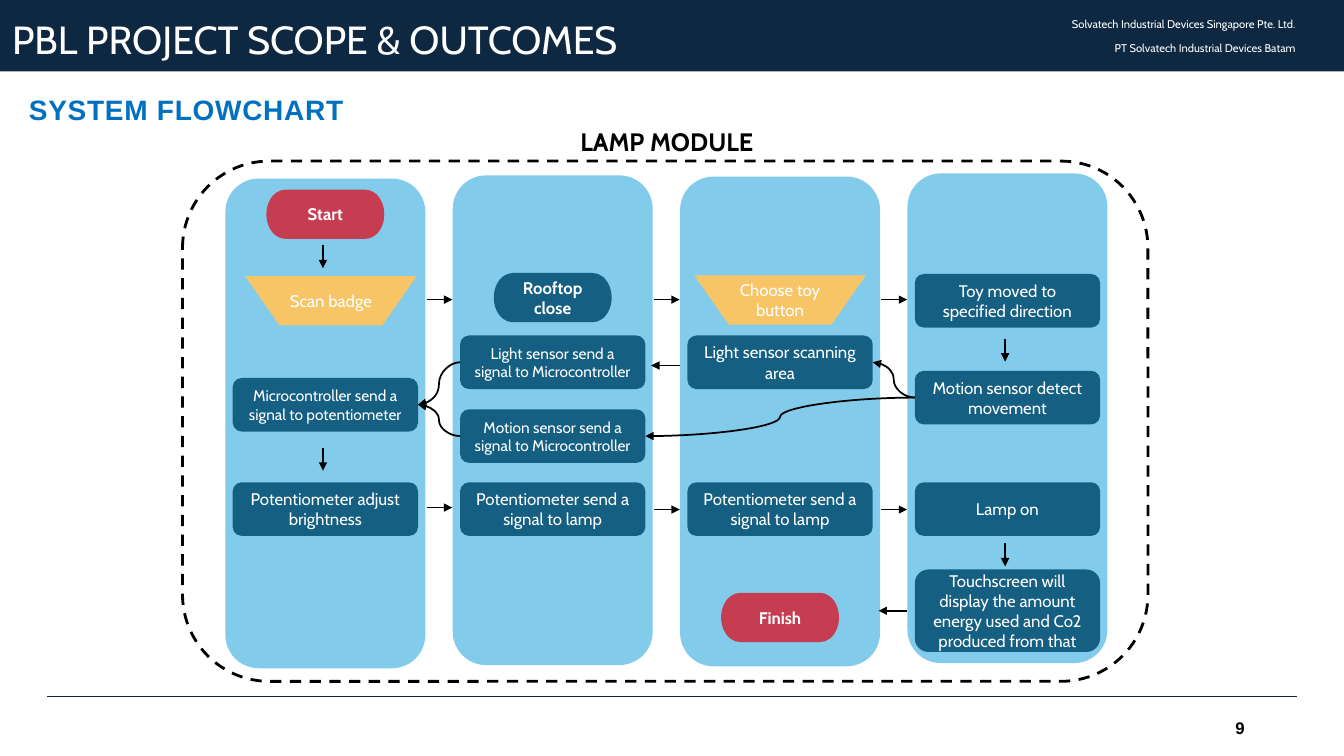
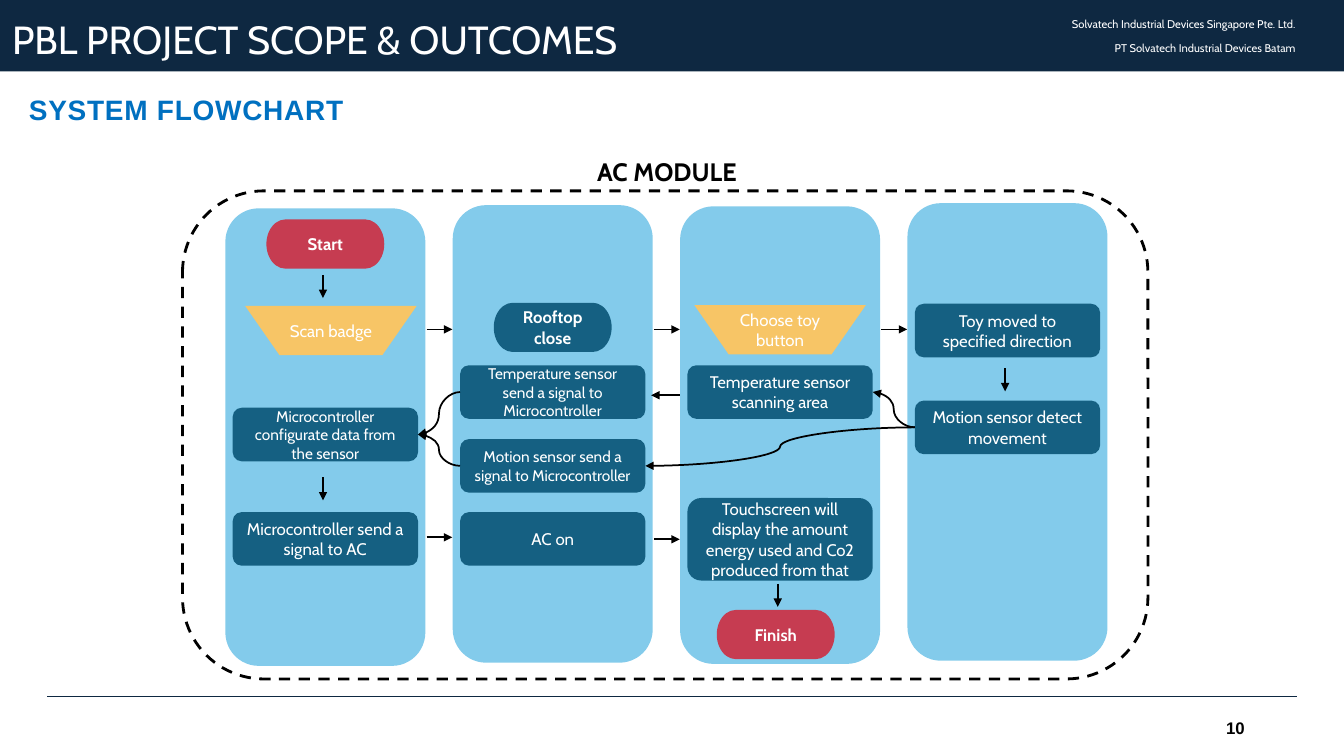
from dataclasses import dataclass

from lxml import etree
from pptx import Presentation
from pptx.dml.color import RGBColor
from pptx.enum.dml import MSO_LINE
from pptx.enum.shapes import MSO_CONNECTOR, MSO_SHAPE
from pptx.enum.text import MSO_ANCHOR, PP_ALIGN
from pptx.oxml.ns import qn
from pptx.util import Cm, Pt

RECT = MSO_SHAPE.RECTANGLE
ROUNDED = MSO_SHAPE.ROUNDED_RECTANGLE
PROCESS = MSO_SHAPE.FLOWCHART_ALTERNATE_PROCESS
TERMINATOR = MSO_SHAPE.FLOWCHART_TERMINATOR
MANUAL = MSO_SHAPE.FLOWCHART_MANUAL_OPERATION
STRAIGHT, CURVE = MSO_CONNECTOR.STRAIGHT, MSO_CONNECTOR.CURVE
LEFT, CENTER, RIGHT = PP_ALIGN.LEFT, PP_ALIGN.CENTER, PP_ALIGN.RIGHT
TOP, MIDDLE = MSO_ANCHOR.TOP, MSO_ANCHOR.MIDDLE
DASH = MSO_LINE.DASH
TITLE_ONLY = 5
LEFT_SITE, RIGHT_SITE = 1, 3
COLUMNS = [8.2 + 5.73 * i for i in range(4)]
LANE_TOPS = [4.5, 4.42, 4.45, 4.37]
TOUCHSCREEN = "Touchscreen will display the amount energy used and Co2 produced from that"


@dataclass(frozen=True)
class Theme:
    navy: str = "0E2841"
    lane: str = "83CBEB"
    step: str = "156082"
    manual: str = "F7C566"
    end: str = "C63C51"
    accent: str = "0070C0"
    white: str = "FFFFFF"
    black: str = "000000"
    font: str = "Cabin"
    plain_font: str = "Arial"
    title: int = 28
    section: int = 20
    heading: int = 18
    body: int = 12
    small: int = 11
    company: int = 8


class Deck:
    def __init__(self, theme):
        self.theme = theme
        self.prs = Presentation()
        self.prs.slide_width, self.prs.slide_height = Cm(33.87), Cm(19.05)
        self.s = None
        self.dy = 0

    def fill_text(self, tf, lines, size, color, align=CENTER, bold=False,
                  font=None, anchor=MIDDLE, space=0):
        tf.word_wrap = True
        tf.vertical_anchor = anchor
        for i, line in enumerate(lines):
            p = tf.paragraphs[0] if i == 0 else tf.add_paragraph()
            p.text = line
            p.alignment = align
            if i:
                p.space_before = Pt(space)
            p.font.name = font or self.theme.font
            p.font.size = Pt(size)
            p.font.bold = bold
            p.font.color.rgb = RGBColor.from_string(color)

    def text(self, x, y, w, h, lines, size, color, **style):
        sp = self.s.shapes.add_textbox(Cm(x), Cm(y), Cm(w), Cm(h))
        self.fill_text(sp.text_frame, lines, size, color, **style)
        return sp

    def shape(self, kind, x, y, w, h, fill):
        sp = self.s.shapes.add_shape(kind, Cm(x), Cm(y), Cm(w), Cm(h))
        sp.shadow.inherit = False
        sp.fill.solid()
        sp.fill.fore_color.rgb = RGBColor.from_string(fill)
        sp.line.fill.background()
        return sp

    def line(self, x1, y1, x2, y2, color, width, kind=STRAIGHT, arrow=False):
        c = self.s.shapes.add_connector(kind, Cm(x1), Cm(y1), Cm(x2), Cm(y2))
        c.line.color.rgb = RGBColor.from_string(color)
        c.line.width = Pt(width)
        if arrow:
            tail = etree.SubElement(c.line._get_or_add_ln(), qn("a:tailEnd"))
            tail.set("type", "triangle")
        etree.SubElement(c._element.spPr, qn("a:effectLst"))
        return c

    def slide(self, number, dy):
        t = self.theme
        self.dy = dy
        self.s = self.prs.slides.add_slide(self.prs.slide_layouts[TITLE_ONLY])
        title = self.s.shapes.title
        title.left, title.top, title.width, title.height = Cm(0.05), Cm(0.5), Cm(30.4), Cm(1.1)
        tf = title.text_frame
        tf.margin_top = tf.margin_bottom = 0
        self.fill_text(tf, ["PBL PROJECT SCOPE & OUTCOMES"], t.title, t.white, align=LEFT)
        tf.paragraphs[0].line_spacing = 0.9
        band = self.shape(RECT, 0, 0, 33.87, 1.8, t.navy)
        title._element.addprevious(band._element)
        self.line(1.19, 17.55, 32.69, 17.55, t.navy, 1)
        self.text(21.41, 0.55, 11.5, 0.72,
                  ["Solvatech Industrial Devices Singapore Pte. Ltd.",
                   "PT Solvatech Industrial Devices Batam"],
                  t.company, t.white, align=RIGHT, space=7.5)
        section = self.text(0.48, 2.2, 14.12, 1.1, ["SYSTEM FLOWCHART"], t.section,
                            t.accent, align=LEFT, bold=True, font=t.plain_font, anchor=TOP)
        section.text_frame.paragraphs[0].font._rPr.set("spc", "50")
        self.text(30.3, 17.83, 1.32, 1.02, [str(number)], t.body, t.black,
                  align=RIGHT, bold=True, font=t.plain_font)

    def frame(self, heading, height):
        t = self.theme
        sp = self.shape(ROUNDED, 4.6, 4.06 + self.dy, 24.33, height, t.white)
        sp.line.color.rgb = RGBColor.from_string(t.black)
        sp.line.width = Pt(2)
        sp.line.dash_style = DASH
        self.text(12.88, 3.06 + self.dy, 7.85, 1.02, [heading], t.heading, t.black,
                  bold=True, anchor=TOP)
        for x, top in zip(COLUMNS, LANE_TOPS):
            self.shape(PROCESS, x - 2.52, top + self.dy, 5.04, height - 0.77, t.lane)

    def node(self, kind, col, y, label, w, h, fill, size=None, bold=False, dx=0):
        t = self.theme
        sp = self.shape(kind, COLUMNS[col] + dx - w / 2, y + self.dy - h / 2, w, h, fill)
        self.fill_text(sp.text_frame, [label], size or t.body, t.white, bold=bold)
        return sp

    def step(self, col, y, label, size=None, h=1.35):
        return self.node(PROCESS, col, y, label, 4.67, h, self.theme.step, size)

    def terminal(self, col, y, label, fill, dx=0):
        return self.node(TERMINATOR, col, y, label, 2.97, 1.24, fill, bold=True, dx=dx)

    def manual(self, col, y, label, dx=0):
        return self.node(MANUAL, col, y, label, 4.32, 1.24, self.theme.manual, dx=dx)

    def arrow(self, x1, y1, x2, y2):
        self.line(x1, y1 + self.dy, x2, y2 + self.dy, self.theme.black, 1.25, arrow=True)

    def right(self, col, y):
        self.arrow(COLUMNS[col] + 2.55, y, COLUMNS[col] + 3.2, y)

    def left(self, col, y):
        self.arrow(COLUMNS[col] + 3.2, y, COLUMNS[col] + 2.48, y)

    def down(self, col, y):
        self.arrow(COLUMNS[col] - 0.06, y, COLUMNS[col] - 0.06, y + 0.58)

    def curve(self, start, end):
        c = self.line(0, 0, 1, 1, self.theme.black, 1.25, CURVE, True)
        c.begin_connect(start, LEFT_SITE)
        c.end_connect(end, RIGHT_SITE)

    def flow(self, sensor, controller, result):
        t = self.theme
        self.terminal(0, 5.4, "Start", t.end)
        self.manual(0, 7.58, "Scan badge", 0.14)
        self.terminal(1, 7.5, "Rooftop close", t.step)
        self.manual(2, 7.56, "Choose toy button")
        self.step(3, 7.58, "Toy moved to specified direction")
        detect = self.step(3, 10.02, "Motion sensor detect movement")
        motion = self.step(1, 10.99, "Motion sensor send a signal to Microcontroller", t.small)
        scan = self.step(2, 9.13, f"{sensor} sensor scanning area")
        signal = self.step(1, 9.13, f"{sensor} sensor send a signal to Microcontroller", t.small)
        control = self.step(0, 10.2, controller, t.small)
        self.step(0, 12.83, result)
        for start, end in ((detect, scan), (detect, motion), (signal, control), (motion, control)):
            self.curve(start, end)
        for col in range(3):
            self.right(col, 7.55)
        self.right(0, 12.79)
        self.right(1, 12.84)
        self.left(1, 9.21)
        self.down(0, 6.18)
        self.down(3, 8.53)
        self.down(0, 11.28)


def main():
    deck = Deck(Theme())
    end = deck.theme.end

    deck.slide(9, 0)
    deck.frame("LAMP MODULE", 13.11)
    deck.flow("Light", "Microcontroller send a signal to potentiometer",
              "Potentiometer adjust brightness")
    for col in (1, 2):
        deck.step(col, 12.83, "Potentiometer send a signal to lamp")
    deck.step(3, 12.83, "Lamp on")
    deck.step(3, 15.39, TOUCHSCREEN, h=2.08)
    deck.terminal(2, 15.56, "Finish", end)
    deck.right(2, 12.84)
    deck.down(3, 13.69)
    deck.left(2, 15.39)

    deck.slide(10, 0.75)
    deck.frame("AC MODULE", 12.3)
    deck.flow("Temperature", "Microcontroller configurate data from the sensor",
              "Microcontroller send a signal to AC")
    deck.step(1, 12.83, "AC on")
    deck.step(2, 12.84, TOUCHSCREEN, h=2.08)
    deck.terminal(2, 15.24, "Finish", end, -0.11)
    deck.down(2, 13.96)

    deck.prs.save("out.pptx")


if __name__ == "__main__":
    main()
